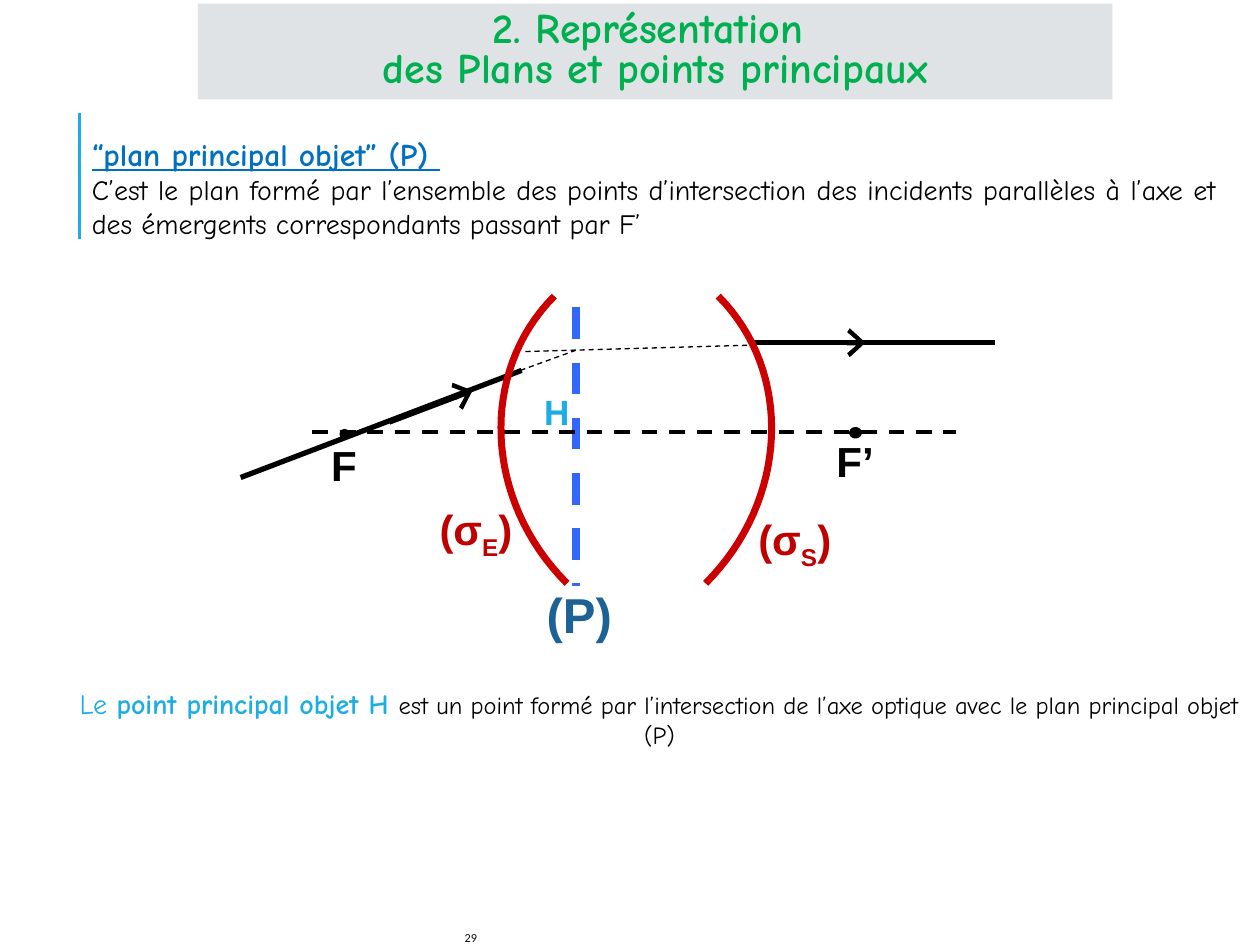
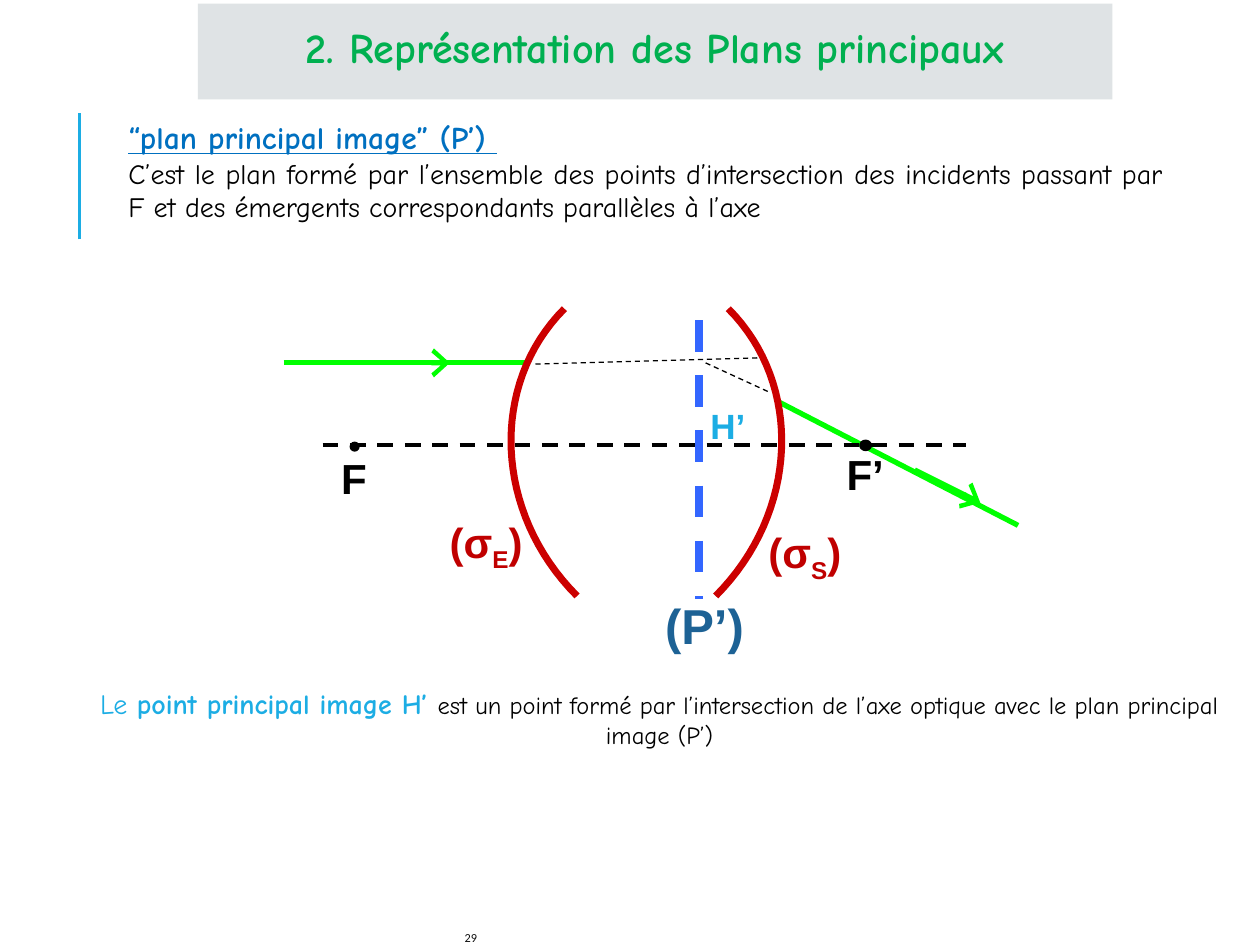
from dataclasses import dataclass
from lxml import etree
from pptx import Presentation
from pptx import util as u
from pptx.dml.color import RGBColor
from pptx.enum import dml, shapes, text
from pptx.oxml.ns import qn


@dataclass(frozen=True)
class Theme:
    band: str = "DFE3E5"
    title: str = "00B050"
    head: str = "0070C0"
    cyan: str = "1CADE4"
    plane: str = "3366FF"
    name: str = "1D6295"
    lens: str = "CC0000"
    sigma: str = "C00000"
    ray: str = "00FF00"
    black: str = "000000"
    grey: str = "0D0D0D"
    hand: str = "Comic Neue"
    sans: str = "Arial"
    foot: str = "Calibri"
    huge: int = 28
    big: int = 24
    mid: int = 20
    sub: int = 18
    body: int = 16
    small: int = 14
    tiny: int = 7


T = Theme()
ALIGN = text.PP_ALIGN


def write(shape, paras, align=ALIGN.LEFT, middle=False):
    frame = shape.text_frame
    frame.word_wrap = True
    if middle:
        frame.vertical_anchor = text.MSO_ANCHOR.MIDDLE
    for i, runs in enumerate(paras):
        para = frame.paragraphs[0] if i == 0 else frame.add_paragraph()
        para.alignment = align
        for words, size, face, color, style in runs:
            if "n" in style:
                para.add_line_break()
            run = para.add_run()
            run.text = words
            font = run.font
            font.size, font.name = u.Pt(size), face
            font.color.rgb = RGBColor.from_string(color)
            font.bold = "b" in style
            font.underline = "u" in style
            if "s" in style:
                run._r.get_or_add_rPr().set("baseline", "-25000")


def draw(slide, ends, color, width, dash=False, arrow=False):
    line = slide.shapes.add_connector(
        shapes.MSO_CONNECTOR.STRAIGHT, *[u.Inches(v) for v in ends])
    line.line.color.rgb = RGBColor.from_string(color)
    line.line.width = u.Pt(width)
    if dash:
        line.line.dash_style = dml.MSO_LINE.DASH
    props = line._element.spPr
    if arrow:
        etree.SubElement(props.find(qn("a:ln")), qn("a:tailEnd"),
                         type="arrow", w="lg", len="med")
    etree.SubElement(props, qn("a:effectLst"))


pages = [
    dict(
        title=[("2. Représentation ", "b"), ("des Plans et points principaux", "bn")],
        head="“plan principal objet” (P) ",
        body="C’est le plan formé par l’ensemble des points d’intersection des incidents "
             "parallèles à l’axe et des émergents correspondants passant par F’ ",
        area=(0.63, 1.02, 9.12, 0.94),
        point="point principal objet H ",
        note="est un point formé par l’intersection de l’axe optique avec le plan "
             "principal objet (P)",
        shift=(0, 0), plane=4.57, color=T.black,
        guides=[(4.13, 2.94, 4.57, 2.78), (4.17, 2.79, 5.95, 2.74)],
        rays=[(1.91, 3.79, 4.14, 2.94), (5.95, 2.72, 7.9, 2.72)],
        heads=[(3.09, 3.35, 3.75, 3.1), (6.37, 2.72, 6.87, 2.72)],
        names=[("(P)", 4.24, 4.59, 0.9, 0.57, T.huge, T.name),
               ("H", 4.22, 3.05, 0.5, 0.44, T.mid, T.cyan)],
    ),
    dict(
        title=[("2. Représentation des Plans principaux", "b")],
        head="“plan principal image” (P’) ",
        body="C’est le plan formé par l’ensemble des points d’intersection des incidents "
             "passant par F et des émergents correspondants parallèles à l’axe",
        area=(0.92, 0.89, 8.41, 0.94),
        point="point principal image H’ ",
        note="est un point formé par l’intersection de l’axe optique avec le plan "
             "principal image (P’)",
        shift=(0.08, 0.1), plane=5.55, color=T.ray,
        guides=[(5.6, 2.88, 6.1, 3.11), (4.25, 2.89, 6.03, 2.84)],
        rays=[(2.25, 2.88, 4.19, 2.88), (6.18, 3.19, 8.08, 4.17)],
        heads=[(2.82, 2.88, 3.57, 2.88), (7.26, 3.73, 7.78, 3.99)],
        names=[("(P’)", 5.18, 4.68, 1, 0.57, T.huge, T.name),
               ("H’", 5.54, 3.16, 0.6, 0.44, T.mid, T.cyan)],
    ),
]
foci = [("F", 2.53, 3.44, 0.5, 0.5, T.big, T.black),
        ("F’", 6.54, 3.41, 0.65, 0.5, T.big, T.black)]
dots = [(2.7, 3.41, 0.07, 0.07, 0.75), (6.76, 3.41, 0.06, 0.05, 3)]
sigmas = [("E", 3.39, 3.95, 1.03), ("S", 5.92, 4.03, 0.94)]
curve = [(4.4, 2.35), (3.8, 2.95), (3.84, 3.97), (4.5, 4.63)]
mirror = 10.1
steps = 32

deck = Presentation()
deck.slide_width, deck.slide_height = u.Inches(10), u.Inches(7.5)

for page in pages:
    slide = deck.slides.add_slide(deck.slide_layouts[6])
    items = slide.shapes
    dx, dy = page["shift"]

    draw(slide, (0.63, 1.9, 0.63, 0.9), T.cyan, 1.5)
    band = items.add_shape(shapes.MSO_SHAPE.RECTANGLE, u.Inches(1.57),
                           u.Inches(0.03), u.Inches(7.26), u.Inches(0.76))
    band.shadow.inherit = False
    band.fill.solid()
    band.fill.fore_color.rgb = RGBColor.from_string(T.band)
    band.line.fill.background()
    write(band, [[(words, T.big, T.hand, T.title, style)
                  for words, style in page["title"]]], ALIGN.CENTER, middle=True)
    band.text_frame.paragraphs[0].line_spacing = 0.8

    foot = items.add_textbox(u.Inches(3.59), u.Inches(7.19),
                             u.Inches(2.33), u.Inches(0.5))
    write(foot, [[("29", T.tiny, T.foot, T.grey, "")]], middle=True)

    for ends in page["guides"]:
        draw(slide, ends, T.black, 0.75, dash=True)
    draw(slide, (page["plane"], 2.44 + dy, page["plane"], 4.65 + dy),
         T.plane, 4.5, dash=True)
    for ends in page["rays"]:
        draw(slide, ends, page["color"], 3)
    for ends in page["heads"]:
        draw(slide, ends, page["color"], 3, arrow=True)

    for x, y, w, h, width in dots:
        dot = items.add_shape(shapes.MSO_SHAPE.OVAL, u.Inches(x + dx),
                              u.Inches(y + dy), u.Inches(w), u.Inches(h))
        dot.shadow.inherit = False
        dot.fill.solid()
        dot.fill.fore_color.rgb = RGBColor.from_string(T.black)
        dot.line.color.rgb = RGBColor.from_string(T.black)
        dot.line.width = u.Pt(width)

    draw(slide, (2.48 + dx, 3.43 + dy, 7.59 + dx, 3.43 + dy), T.black, 2.25, dash=True)

    for side in ("left", "right"):
        trace = []
        for i in range(steps + 1):
            t = i / steps
            weights = ((1 - t) ** 3, 3 * t * (1 - t) ** 2, 3 * t * t * (1 - t), t ** 3)
            x = sum(k * p[0] for k, p in zip(weights, curve))
            y = sum(k * p[1] for k, p in zip(weights, curve))
            x = mirror - x if side == "right" else x
            trace.append((u.Inches(x + dx), u.Inches(y + dy)))
        pen = items.build_freeform(*trace[0], scale=1.0)
        pen.add_line_segments(trace[1:], close=False)
        lens = pen.convert_to_shape()
        lens.shadow.inherit = False
        lens.fill.background()
        lens.line.color.rgb = RGBColor.from_string(T.lens)
        lens.line.width = u.Pt(4)

    moved = [(words, x + dx, y + dy, *rest) for words, x, y, *rest in foci]
    for words, x, y, w, h, size, color in moved + page["names"]:
        label = items.add_textbox(*[u.Inches(v) for v in (x, y, w, h)])
        write(label, [[(words, size, T.sans, color, "b")]])

    for sub, x, y, w in sigmas:
        label = items.add_textbox(u.Inches(x + dx), u.Inches(y + dy),
                                  u.Inches(w), u.Inches(0.56))
        write(label, [[(words, T.big, T.sans, T.sigma, style) for words, style in
                       (("(σ", "b"), (sub, "bs"), (")", "b"))]])

    prose = items.add_textbox(*[u.Inches(v) for v in page["area"]])
    write(prose, [[(page["head"], T.sub, T.hand, T.head, "bu")],
                  [(page["body"], T.body, T.hand, T.black, "")]], ALIGN.JUSTIFY)
    note = items.add_textbox(u.Inches(0.47), u.Inches(5.4),
                             u.Inches(9.53), u.Inches(0.6))
    write(note, [[("Le ", T.body, T.hand, T.cyan, ""),
                  (page["point"], T.body, T.hand, T.cyan, "b"),
                  (page["note"], T.small, T.hand, T.black, "")]], ALIGN.CENTER)

deck.save("out.pptx")
